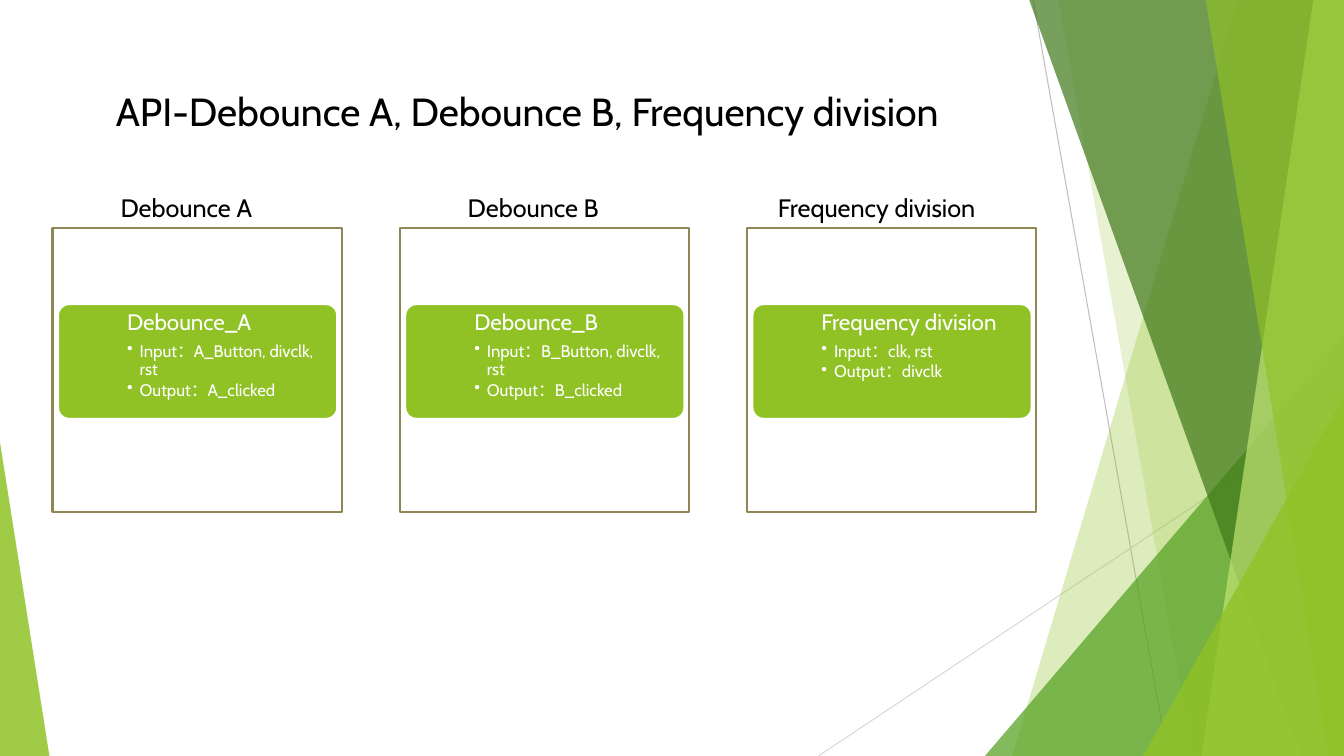
import pptx
import pptx.dml.color
import pptx.enum.shapes
import pptx.oxml.ns
import pptx.oxml.xmlchemy
import pptx.util

Pt = pptx.util.Pt
RGB = pptx.dml.color.RGBColor
SHAPE = pptx.enum.shapes.MSO_SHAPE
OxmlElement = pptx.oxml.xmlchemy.OxmlElement
qn = pptx.oxml.ns.qn

WIDTH, HEIGHT, TOP = 960, 540, -0.6
FONT = "Cabin"
BLACK = RGB(0x00, 0x00, 0x00)
WHITE = RGB(0xFF, 0xFF, 0xFF)
LIME = RGB(0x90, 0xC2, 0x26)
GREEN = RGB(0x54, 0xA0, 0x21)
DARK_GREEN = RGB(0x3F, 0x78, 0x19)
PALE_LIME = RGB(0xC0, 0xE4, 0x74)
OLIVE = RGB(0x91, 0x86, 0x55)
GRAY = RGB(0xBF, 0xBF, 0xBF)
LIGHT_GRAY = RGB(0xD9, 0xD9, 0xD9)

PANEL_LEFT, PANEL_PITCH = 37.5, 248
PANELS = [
    ("Debounce A", 41.5, 123, "Debounce_A",
     ["Input：A_Button, divclk, rst", "Output：A_clicked"]),
    ("Debounce B", 41.5, 123, "Debounce_B",
     ["Input：B_Button, divclk, rst", "Output：B_clicked"]),
    ("Frequency division", 15, 178, "Frequency division",
     ["Input：clk, rst", "Output：divclk"]),
]


def paint(sp, color, opacity=100, line=None, line_width=0):
    """Set the fill, opacity and outline of a shape and drop its shadow."""
    sp.shadow.inherit = False
    sp.fill.solid()
    sp.fill.fore_color.rgb = color
    if opacity < 100:
        clr = sp._element.spPr.find(".//" + qn("a:srgbClr"))
        alpha = OxmlElement("a:alpha")
        alpha.set("val", str(opacity * 1000))
        clr.append(alpha)
    if line is None:
        sp.line.fill.background()
    else:
        sp.line.color.rgb = line
        sp.line.width = Pt(line_width)


def add_box(s, kind, x, y, w, h, color, adj=None, **style):
    """Add a painted preset shape."""
    sp = s.shapes.add_shape(kind, Pt(x), Pt(y), Pt(w), Pt(h))
    if adj is not None:
        sp.adjustments[0] = adj
    paint(sp, color, **style)


def add_band(s, top_left, top_right, bottom_left, color, opacity):
    """Add a translucent band that runs from the top to the bottom right corner."""
    fb = s.shapes.build_freeform(Pt(top_left), Pt(TOP), scale=1.0)
    fb.add_line_segments([(Pt(top_right), Pt(TOP)), (Pt(WIDTH), Pt(HEIGHT)),
                          (Pt(bottom_left), Pt(HEIGHT))], close=True)
    paint(fb.convert_to_shape(), color, opacity)


def add_line(s, x1, y1, x2, y2, color):
    """Add a thin straight line."""
    cx = s.shapes.add_connector(pptx.enum.shapes.MSO_CONNECTOR.STRAIGHT,
                                Pt(x1), Pt(y1), Pt(x2), Pt(y2))
    cx.line.color.rgb = color
    cx.line.width = Pt(0.75)
    cx._element.spPr.append(OxmlElement("a:effectLst"))


def format_runs(p, size, color):
    """Format every run of a paragraph."""
    for r in p.runs:
        r.font.name = FONT
        r.font.size = Pt(size)
        r.font.color.rgb = color


def add_text(s, text, x, y, w, h, size, color):
    """Add a wrapping text box and return its text frame."""
    tf = s.shapes.add_textbox(Pt(x), Pt(y), Pt(w), Pt(h)).text_frame
    tf.word_wrap = True
    tf.text = text
    format_runs(tf.paragraphs[0], size, color)
    return tf


def add_bullet(tf, text):
    """Add a bulleted paragraph to a card."""
    p = tf.add_paragraph()
    p.text = text
    p.level = 1
    p.line_spacing = 0.9
    p.space_after = Pt(1.8)
    pPr = p._p.get_or_add_pPr()
    pPr.set("marL", str(Pt(9)))
    pPr.set("indent", str(Pt(-9)))
    bullet = OxmlElement("a:buChar")
    bullet.set("char", "•")
    pPr.append(bullet)
    format_runs(p, 12, WHITE)


def add_panel(s, x, label, label_dx, label_w, heading, items):
    """Add a labelled frame that holds a card with a heading and bullets."""
    add_box(s, SHAPE.RECTANGLE, x, 162.8, 206.7, 203, WHITE,
            line=OLIVE, line_width=1.5)
    add_text(s, label, x + label_dx, 134, label_w, 29, 18, BLACK)
    add_box(s, SHAPE.ROUNDED_RECTANGLE, x + 3.7, 217, 200, 82.5, LIME,
            adj=0.1, line=WHITE, line_width=2)
    tf = add_text(s, heading, x + 48.3, 217, 155.5, 82.5, 16, WHITE)
    tf.margin_left = tf.margin_right = Pt(5)
    tf.margin_top = tf.margin_bottom = Pt(5)
    p = tf.paragraphs[0]
    p.line_spacing = 0.9
    p.space_after = Pt(5.6)
    for item in items:
        add_bullet(tf, item)


def add_backdrop(s):
    """Add the green facets and thin lines around the slide edges."""
    triangle = SHAPE.ISOSCELES_TRIANGLE
    add_line(s, 738, 0, 834, HEIGHT, GRAY)
    add_line(s, WIDTH, 290, 584.6, HEIGHT, LIGHT_GRAY)
    add_band(s, 884.2, WIDTH, 723, LIME, 30)
    add_band(s, 756, WIDTH, 851.8, LIME, 20)
    add_box(s, triangle, 703.5, 240, 256.5, 300, GREEN, adj=1, opacity=72)
    add_band(s, 735, WIDTH, 929.5, DARK_GREEN, 70)
    add_band(s, 938.2, WIDTH, 858.2, PALE_LIME, 70)
    add_band(s, 861.1, WIDTH, 949, LIME, 65)
    add_box(s, triangle, 816.5, 283, 143.5, 257, LIME, adj=1, opacity=80)
    add_box(s, triangle, 0, 316, 35.3, 224, LIME, adj=0, opacity=85)


def main():
    """Build the slide and save it."""
    prs = pptx.Presentation()
    prs.slide_width, prs.slide_height = Pt(WIDTH), Pt(HEIGHT)
    s = prs.slides.add_slide(prs.slide_layouts[6])
    add_backdrop(s)
    for i, panel in enumerate(PANELS):
        add_panel(s, PANEL_LEFT + i * PANEL_PITCH, *panel)
    add_text(s, "API-Debounce A, Debounce B, Frequency division",
             75.6, 59, 671, 143, 28, BLACK)
    prs.save("out.pptx")


if __name__ == "__main__":
    main()
